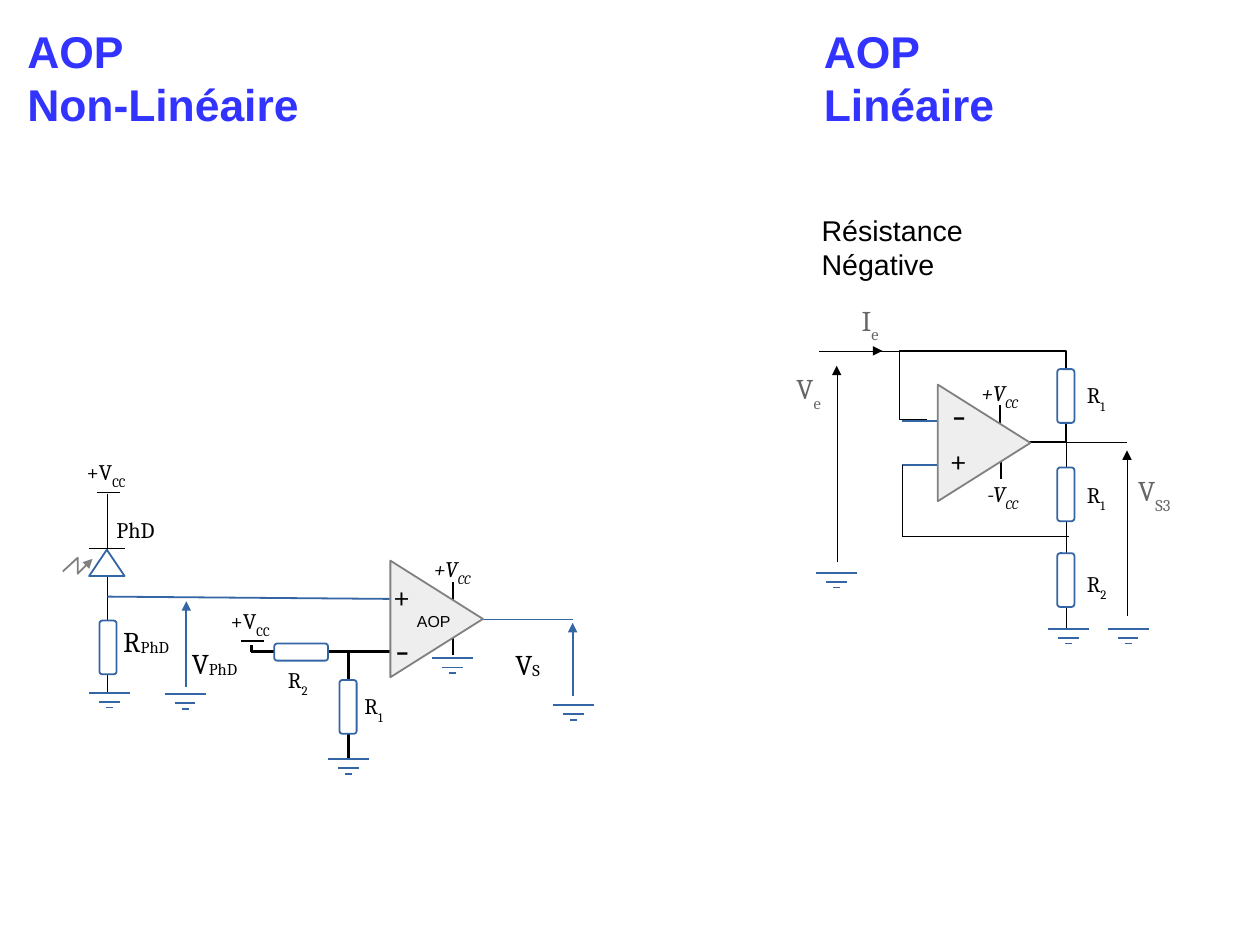
from dataclasses import dataclass
from typing import Any

from lxml import etree
from pptx import Presentation, util as u
from pptx.dml import color
from pptx.enum import shapes, text
from pptx.oxml import ns

WIDTH, HEIGHT = u.Cm(28), u.Cm(21)
COLUMNS, ROWS = 1102.36, 826.77
BLUE, BLACK, GREY, DARK = "3465A4", "000000", "808080", "666666"
WHITE, PALE, TITLE = "FFFFFF", "EEEEEE", "3333FF"
HAIR, THIN, FINE, THICK = 0.03, 1.02, 1.13, 1.5


@dataclass(frozen=True)
class Wire:
    x1: int
    y1: int
    x2: int
    y2: int
    ink: str = BLACK
    weight: float = HAIR
    arrow: bool = False


@dataclass(frozen=True)
class Path:
    points: tuple[tuple[int, int], ...]
    ink: str
    arrow: bool = False


@dataclass(frozen=True)
class Part:
    kind: Any
    left: int
    top: int
    width: int
    height: int
    fill: str = WHITE
    ink: str = BLUE
    turn: int = 0


@dataclass(frozen=True)
class Label:
    left: int
    top: int
    words: str
    sub: str = ""
    width: int = 61
    height: int = 37
    size: int = 14
    ink: str = BLACK
    font: str = "Cambria"
    bold: bool = False
    italic: bool = False
    drop: int = -33000


WIRES = [
    Wire(789, 368, 841, 368, BLUE, FINE),
    Wire(789, 407, 841, 407, BLUE, FINE),
    Wire(414, 542, 501, 542, BLUE, FINE),
    Wire(85, 431, 105, 431, BLACK, THIN),
    Wire(94, 432, 94, 606, BLACK, THIN),
    Wire(78, 480, 109, 480, BLACK, THIN),
    Wire(94, 522, 341, 524, BLUE, FINE),
    Wire(501, 609, 501, 545, BLUE, FINE, True),
    Wire(163, 601, 163, 526, BLUE, FINE, True),
    Wire(396, 509, 396, 525, BLACK, FINE),
    Wire(396, 557, 396, 573, BLACK, FINE),
    Wire(343, 570, 220, 570, BLACK, THICK),
    Wire(305, 664, 305, 570, BLACK, THICK),
    Wire(211, 561, 231, 561, BLACK, THIN),
    Wire(220, 570, 220, 564, BLACK, THICK),
    Wire(875, 354, 875, 370, BLACK, FINE),
    Wire(876, 403, 876, 419, BLACK, FINE),
    Wire(815, 307, 717, 307),
    Wire(756, 307, 772, 307, arrow=True),
    Wire(732, 492, 732, 320, arrow=True),
    Wire(933, 551, 933, 383),
    Wire(935, 469, 789, 469),
    Wire(789, 407, 789, 469),
    Wire(986, 539, 986, 394, arrow=True),
    Wire(986, 387, 909, 387),
]
PATHS = [
    Path(((811, 367), (787, 367), (787, 307), (933, 307), (933, 387), (894, 387)), BLACK),
    Path(((55, 500), (68, 488), (68, 502), (81, 489)), GREY, True),
]
TRIANGLE = shapes.MSO_SHAPE.ISOSCELES_TRIANGLE
RESISTOR = shapes.MSO_SHAPE.ROUNDED_RECTANGLE
PARTS = [
    *(Part(TRIANGLE, x, y, 102, 81, PALE, GREY, 90) for x, y in ((331, 501), (810, 347))),
    Part(TRIANGLE, 78, 481, 31, 23),
    *(Part(RESISTOR, x, y, 15, 47)
      for x, y in ((87, 543), (297, 595), (925, 323), (925, 409), (925, 484))),
    Part(RESISTOR, 240, 563, 47, 15),
]
GROUNDS = [(78, 606), (144, 607), (287, 664), (378, 576),
           (484, 617), (714, 501), (917, 550), (969, 550)]
GROUND_BARS = [(0, 0, 36), (9, 8, 18), (15, 13, 6)]

LARGE = dict(size=18, height=47)
LEVEL = dict(LARGE, width=66, drop=-5000)
HEADING = dict(size=28, height=97, ink=TITLE, font="Arial", bold=True)
LABELS = [
    *(Label(x, y, "+V", "CC", 65) for x, y in ((66, 396), (192, 526))),
    *(Label(x, y, sign + "V", "CC", 65, italic=True)
      for x, y, sign in ((370, 481, "+"), (849, 327, "+"), (854, 415, "-"))),
    *(Label(x, y, "R", number) for x, y, number in (
        (242, 578, "2"), (309, 601, "1"), (941, 329, "1"), (941, 416, "1"), (941, 494, "2"))),
    *(Label(x, y, "-", width=34, height=55, size=28) for x, y in ((336, 538), (823, 333))),
    *(Label(x, y, "+", width=43, height=43, size=20) for x, y in ((334, 500), (821, 381))),
    *(Label(x, y, words, sub, **LEVEL) for x, y, words, sub in (
        (98, 541, "R", "PhD"), (441, 561, "V", "S"), (158, 560, "V", "PhD"))),
    *(Label(x, y, words, sub, ink=DARK, **LARGE) for x, y, words, sub in (
        (687, 320, "V", "e"), (744, 260, "I", "e"), (986, 409, "V", "S3"))),
    Label(92, 447, "PhD", height=33),
    Label(355, 530, "AOP", width=67, height=41, size=10, font="Arial"),
    Label(709, 181, "Résistance Négative", width=240, height=38, size=18, font="Arial"),
    Label(14, 16, "AOP\nNon-Linéaire", width=262, **HEADING),
    Label(711, 16, "AOP\nLinéaire", width=172, **HEADING),
]


def across(columns: int) -> int:
    return round(WIDTH * columns / COLUMNS)


def down(rows: int) -> int:
    return round(HEIGHT * rows / ROWS)


def rgb(code: str) -> color.RGBColor:
    return color.RGBColor.from_string(code)


def ink_line(item: Any, ink: str, weight: float, arrow: bool = False) -> None:
    item.line.color.rgb = rgb(ink)
    item.line.width = u.Pt(weight)
    if arrow:
        etree.SubElement(item._element.spPr.find(ns.qn("a:ln")), ns.qn("a:tailEnd"), type="triangle")


def draw_wire(holder: Any, wire: Wire) -> None:
    line = holder.add_connector(shapes.MSO_CONNECTOR.STRAIGHT, across(wire.x1), down(wire.y1),
                                across(wire.x2), down(wire.y2))
    ink_line(line, wire.ink, wire.weight, wire.arrow)
    etree.SubElement(line._element.spPr, ns.qn("a:effectLst"))


def draw_path(page: Any, route: Path) -> None:
    start, *rest = [(across(x), down(y)) for x, y in route.points]
    builder = page.shapes.build_freeform(*start)
    builder.add_line_segments(rest, close=False)
    outline = builder.convert_to_shape()
    outline.fill.background()
    ink_line(outline, route.ink, FINE, route.arrow)
    outline.shadow.inherit = False


def draw_part(page: Any, part: Part) -> None:
    box = page.shapes.add_shape(part.kind, across(part.left), down(part.top),
                                across(part.width), down(part.height))
    box.rotation = part.turn
    box.fill.solid()
    box.fill.fore_color.rgb = rgb(part.fill)
    ink_line(box, part.ink, FINE)
    box.shadow.inherit = False


def draw_ground(page: Any, left: int, top: int) -> None:
    ground = page.shapes.add_group_shape()
    for dx, dy, width in GROUND_BARS:
        x, y = left + dx, top + dy
        draw_wire(ground.shapes, Wire(x, y, x + width, y, BLUE, FINE))


def draw_label(page: Any, label: Label) -> None:
    box = page.shapes.add_textbox(across(label.left), down(label.top),
                                  across(label.width), down(label.height))
    frame = box.text_frame
    frame.word_wrap = True
    frame.vertical_anchor = text.MSO_ANCHOR.TOP
    looks = dict(name=label.font, size=u.Pt(label.size), bold=label.bold, italic=label.italic)
    for index, words in enumerate(label.words.split("\n")):
        para = frame.add_paragraph() if index else frame.paragraphs[0]
        for piece, drop in ((words, 0), (label.sub, label.drop)):
            if not piece:
                continue
            span = para.add_run()
            span.text = piece
            for key, value in looks.items():
                setattr(span.font, key, value)
            span.font.color.rgb = rgb(label.ink)
            if drop:
                span._r.get_or_add_rPr().set("baseline", str(drop))


def main() -> None:
    deck = Presentation()
    deck.slide_width = WIDTH
    deck.slide_height = HEIGHT
    page = deck.slides.add_slide(deck.slide_layouts[6])
    for wire in WIRES:
        draw_wire(page.shapes, wire)
    for route in PATHS:
        draw_path(page, route)
    for part in PARTS:
        draw_part(page, part)
    for left, top in GROUNDS:
        draw_ground(page, left, top)
    for label in LABELS:
        draw_label(page, label)
    deck.save("out.pptx")


if __name__ == "__main__":
    main()
